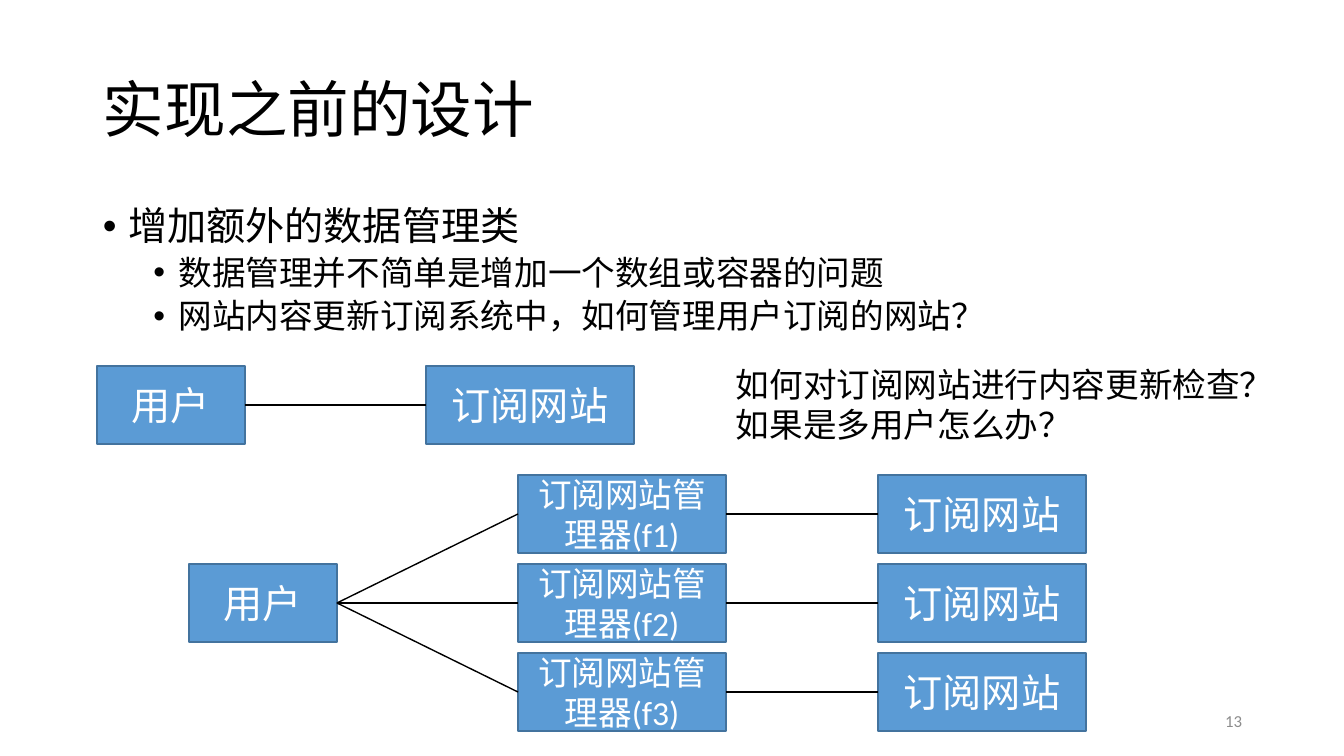
import pptx
import pptx.dml.color
import pptx.enum.shapes
import pptx.enum.text
import pptx.oxml.ns
import pptx.util
from lxml import etree

PX = 914400 / 100.8
FONT = "Calibri"
COLORS = {"text": "000000", "box": "5B9BD5", "edge": "43739E",
          "label": "FFFFFF", "number": "8C8C8C"}
ALIGN = pptx.enum.text.PP_ALIGN
ANCHOR = pptx.enum.text.MSO_ANCHOR
USER_W, SITE_W, BOX_H = 148, 208, 78
LEFT_SITE, RIGHT_SITE = 1, 3


def emu(*pixels):
    """Turn pixel lengths into EMU."""
    return [pptx.util.Emu(round(p * PX)) for p in pixels]


def rgb(name):
    """Look up a colour by its role."""
    return pptx.dml.color.RGBColor.from_string(COLORS[name])


def style(paragraph, size, color="text", align=ALIGN.LEFT):
    """Set the font and alignment of a paragraph."""
    paragraph.alignment = align
    paragraph.font.name = FONT
    paragraph.font.size = pptx.util.Pt(size)
    paragraph.font.color.rgb = rgb(color)


def add_text(slide, box, lines, size, color="text", align=ALIGN.LEFT,
             anchor=ANCHOR.TOP, wrap=True):
    """Add a text box with one paragraph per line; return its frame."""
    frame = slide.shapes.add_textbox(*emu(*box)).text_frame
    frame.word_wrap = wrap
    frame.vertical_anchor = anchor
    frame.text = "\n".join(lines)
    for paragraph in frame.paragraphs:
        style(paragraph, size, color, align)
    return frame


def add_title(slide, box, title):
    """Add the slide title, centred vertically in its box."""
    frame = add_text(slide, box, [title], 44, anchor=ANCHOR.MIDDLE)
    frame.paragraphs[0].line_spacing = 0.9


def add_points(slide, box, points):
    """Add bulleted (level, text) points."""
    frame = add_text(slide, box, [text for _, text in points], 28)
    for paragraph, (level, _) in zip(frame.paragraphs, points):
        paragraph.level = level
        paragraph.line_spacing = 0.9
        paragraph.space_before = pptx.util.Pt(5 if level else 10)
        paragraph.font.size = pptx.util.Pt(24 if level else 28)
        props = paragraph._p.get_or_add_pPr()
        props.set("marL", str(pptx.util.Inches(0.25 + 0.5 * level)))
        props.set("indent", str(pptx.util.Inches(-0.25)))
        bullet_font = etree.Element(pptx.oxml.ns.qn("a:buFont"), typeface="Arial")
        bullet = etree.Element(pptx.oxml.ns.qn("a:buChar"), char="•")
        defaults = props.find(pptx.oxml.ns.qn("a:defRPr"))
        defaults.addprevious(bullet_font)
        defaults.addprevious(bullet)


def add_class_box(slide, left, top, width, label, size=28):
    """Add one class rectangle with a centred label."""
    rect = slide.shapes.add_shape(pptx.enum.shapes.MSO_SHAPE.RECTANGLE,
                                  *emu(left, top, width, BOX_H))
    rect.shadow.inherit = False
    rect.fill.solid()
    rect.fill.fore_color.rgb = rgb("box")
    rect.line.color.rgb = rgb("edge")
    rect.line.width = pptx.util.Pt(1)
    rect.text_frame.word_wrap = True
    rect.text_frame.vertical_anchor = ANCHOR.MIDDLE
    rect.text_frame.text = label
    style(rect.text_frame.paragraphs[0], size, "label", ALIGN.CENTER)
    return rect


def link(slide, source, target):
    """Join the right side of one class box to the left side of another."""
    line = slide.shapes.add_connector(
        pptx.enum.shapes.MSO_CONNECTOR.STRAIGHT, 0, 0, 0, 0)
    line.begin_connect(source, RIGHT_SITE)
    line.end_connect(target, LEFT_SITE)
    line.line.color.rgb = rgb("text")
    line.line.width = pptx.util.Pt(1)
    etree.SubElement(line._element.spPr, pptx.oxml.ns.qn("a:effectLst"))


def add_direct_design(slide, box):
    """Draw the user linked straight to a site, at the ends of the box."""
    left, top, width, _ = box
    user = add_class_box(slide, left, top, USER_W, "用户")
    site = add_class_box(slide, left + width - SITE_W, top, SITE_W, "订阅网站")
    link(slide, user, site)


def add_managed_design(slide, box, managers):
    """Draw the user linked to sites through one row per manager."""
    left, top, width, height = box
    step = (height - BOX_H) / (len(managers) - 1)
    user = add_class_box(slide, left, top + (height - BOX_H) / 2, USER_W, "用户")
    for row, name in enumerate(managers):
        y = top + row * step
        manager = add_class_box(slide, left + 329, y, SITE_W,
                                f"订阅网站管理器({name})", 24)
        site = add_class_box(slide, left + width - SITE_W, y, SITE_W, "订阅网站")
        link(slide, user, manager)
        link(slide, manager, site)


def build_slide(prs):
    """Lay out the design slide."""
    slide = prs.slides.add_slide(prs.slide_layouts[6])
    add_title(slide, (93, 40, 1159, 146), "实现之前的设计")
    add_points(slide, (93, 202, 1159, 154), [
        (0, "增加额外的数据管理类"),
        (1, "数据管理并不简单是增加一个数组或容器的问题"),
        (1, "网站内容更新订阅系统中，如何管理用户订阅的网站？"),
    ])
    add_direct_design(slide, (97, 366, 537, BOX_H))
    add_text(slide, (726, 359, 563, 92),
             ["如何对订阅网站进行内容更新检查？", "如果是多用户怎么办？"],
             24, wrap=False)
    add_managed_design(slide, (189, 475, 897, 256), ["f1", "f2", "f3"])
    add_text(slide, (950, 701, 302, 40), ["13"], 12, "number",
             ALIGN.RIGHT, ANCHOR.MIDDLE)


prs = pptx.Presentation()
prs.slide_width, prs.slide_height = emu(1344, 756)
build_slide(prs)
prs.save("out.pptx")
